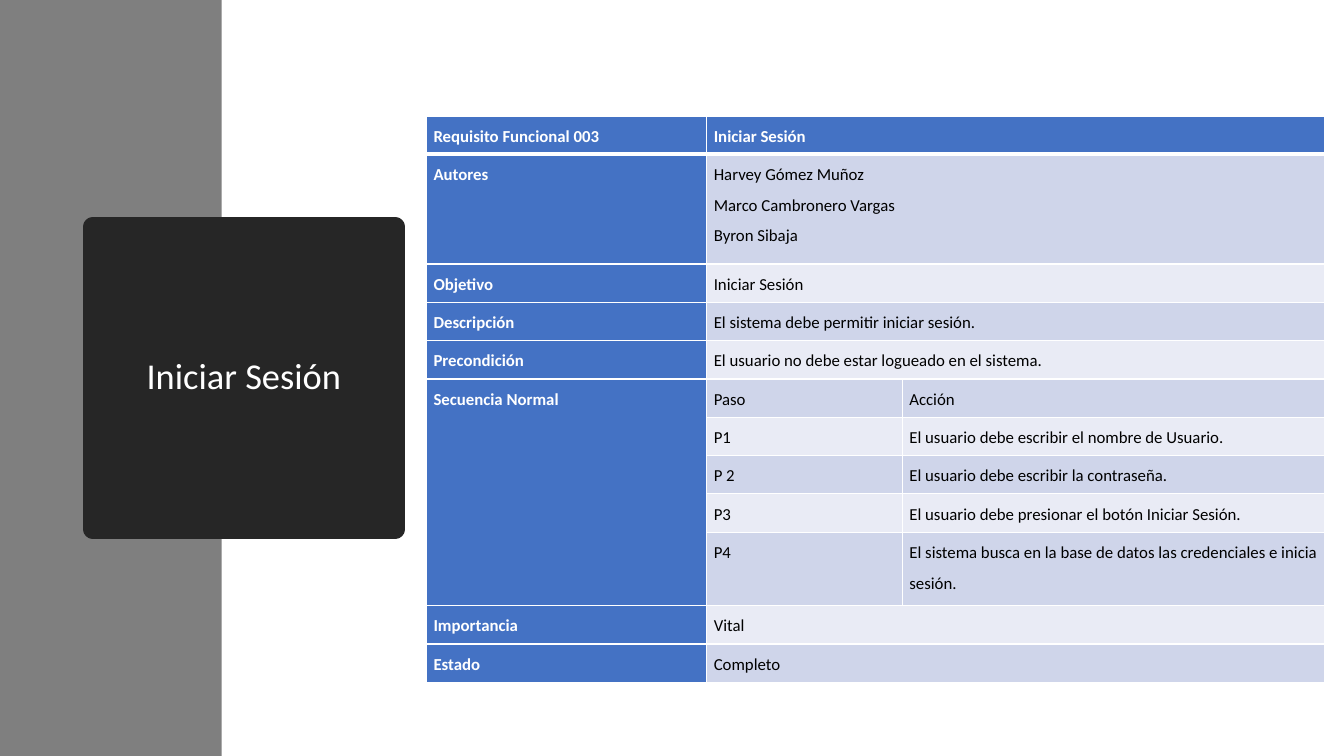
from lxml import etree
from pptx import Presentation
from pptx.dml.color import RGBColor
from pptx.enum import shapes, text
from pptx.oxml import ns
from pptx.util import Inches, Pt

GRAY = RGBColor(0x7F, 0x7F, 0x7F)
DARK = RGBColor(0x26, 0x26, 0x26)
WHITE = RGBColor(0xFF, 0xFF, 0xFF)
BLACK = RGBColor(0, 0, 0)
BLUE = RGBColor(0x44, 0x72, 0xC4)
BANDS = [RGBColor(0xE9, 0xEB, 0xF5), RGBColor(0xCF, 0xD5, 0xEA)]
FONT = "Calibri"

ROWS = [
    ["Requisito Funcional 003", "Iniciar Sesión"],
    ["Autores", "Harvey Gómez Muñoz\nMarco Cambronero Vargas\nByron Sibaja"],
    ["Objetivo", "Iniciar Sesión"],
    ["Descripción", "El sistema debe permitir iniciar sesión."],
    ["Precondición", "El usuario no debe estar logueado en el sistema."],
    ["Secuencia Normal", "Paso", "Acción"],
    ["", "P1", "El usuario debe escribir el nombre de Usuario."],
    ["", "P 2", "El usuario debe escribir la contraseña."],
    ["", "P3", "El usuario debe presionar el botón Iniciar Sesión."],
    ["", "P4", "El sistema busca en la base de datos las credenciales e inicia sesión."],
    ["Importancia", "Vital"],
    ["Estado", "Completo"],
]
COL_WIDTHS = [2.78, 1.94, 4.19]
ROW_HEIGHT = 0.38
TALL_ROWS = {1: 1.09, 9: 0.73}
STEPS_FIRST, STEPS_LAST = 5, 9


def write(p, content, size, color, bold=False):
    r = p.add_run()
    r.text = content
    r.font.name = FONT
    r.font.size = Pt(size)
    r.font.bold = bold
    r.font.color.rgb = color


def set_borders(cell, top, bottom):
    tc_pr = cell._tc.get_or_add_tcPr()
    for i, (side, width) in enumerate([("L", 1), ("R", 1), ("T", top), ("B", bottom)]):
        ln = etree.Element(ns.qn("a:ln" + side), w=str(Pt(width)))
        fill = etree.SubElement(ln, ns.qn("a:solidFill"))
        etree.SubElement(fill, ns.qn("a:srgbClr"), val=str(WHITE))
        tc_pr.insert(i, ln)


prs = Presentation()
prs.slide_width = Inches(13.33)
prs.slide_height = Inches(7.5)
s = prs.slides.add_slide(prs.slide_layouts[5])

title = s.shapes.title
title.left, title.top = Inches(0.92), Inches(2.25)
title.width = title.height = Inches(3)
title.fill.solid()
title.fill.fore_color.rgb = DARK
title.line.color.rgb = DARK
title.line.width = Pt(13.75)
etree.SubElement(title.line._ln, ns.qn("a:round"))
tf = title.text_frame
tf.word_wrap = True
tf.auto_size = text.MSO_AUTO_SIZE.NONE
tf.vertical_anchor = text.MSO_ANCHOR.MIDDLE
p = tf.paragraphs[0]
p.alignment = text.PP_ALIGN.CENTER
p.line_spacing = 0.9
write(p, "Iniciar Sesión", 26, WHITE)

band = s.shapes.add_shape(shapes.MSO_SHAPE.RECTANGLE, 0, 0, Inches(2.2), prs.slide_height)
band.shadow.inherit = False
band.fill.solid()
band.fill.fore_color.rgb = GRAY
band.line.fill.background()
title.element.addprevious(band.element)

table = s.shapes.add_table(
    len(ROWS), len(COL_WIDTHS), Inches(4.23), Inches(1.15), Inches(8.91), Inches(5.57)
).table
for col, width in zip(table.columns, COL_WIDTHS):
    col.width = Inches(width)

for i, row in enumerate(ROWS):
    table.rows[i].height = Inches(TALL_ROWS.get(i, ROW_HEIGHT))
    if len(row) == 2:
        table.cell(i, 1).merge(table.cell(i, 2))
    for j in range(len(COL_WIDTHS)):
        cell = table.cell(i, j)
        heading = i == 0 or j == 0
        cell.fill.solid()
        cell.fill.fore_color.rgb = BLUE if heading else BANDS[i % 2]
        cell.margin_left = cell.margin_right = Inches(0.07)
        cell.margin_top = cell.margin_bottom = 0
        set_borders(cell, 3 if i == 1 else 1, 3 if i == 0 else 1)
        lines = row[j].split("\n") if j < len(row) and row[j] else []
        for n, line in enumerate(lines):
            tf = cell.text_frame
            p = tf.add_paragraph() if n else tf.paragraphs[0]
            p.line_spacing = 1.5
            write(p, line, 12, WHITE if heading else BLACK, heading)
table.cell(STEPS_FIRST, 0).merge(table.cell(STEPS_LAST, 0))

prs.save("out.pptx")
